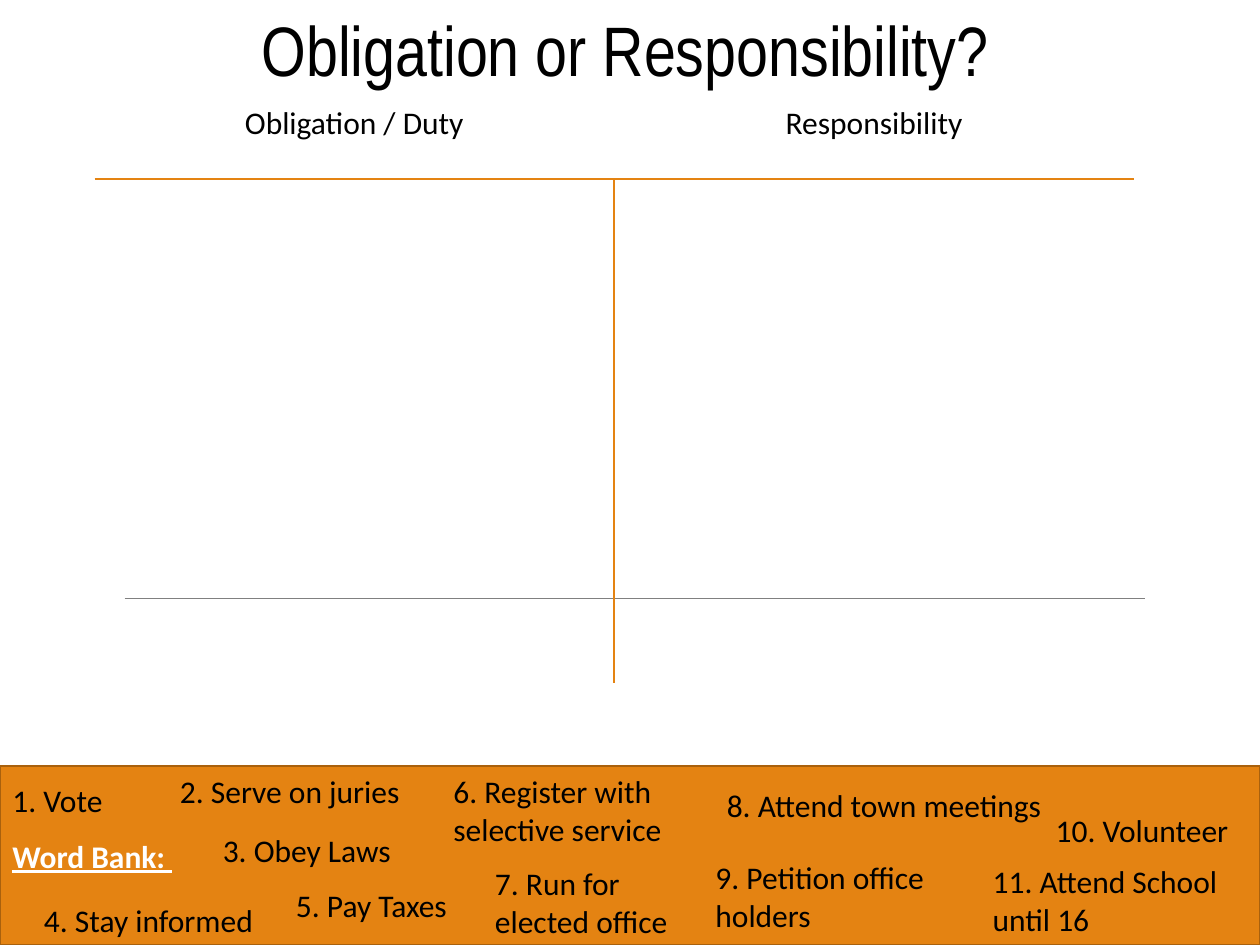
import pptx
import pptx.dml.color
import pptx.enum.shapes
import pptx.enum.text
import pptx.oxml.ns
import pptx.util
from lxml import etree

WIDTH, HEIGHT = 10, 7.5
COLORS = {
    "text": "000000",
    "light": "FFFFFF",
    "accent": "E48312",
    "edge": "A9610D",
    "rule": "808080",
}
CHART_LEFT, CHART_RIGHT, CHART_TOP = 0.75, 9, 1.42
CHART_MIDDLE = (CHART_LEFT + CHART_RIGHT) / 2
BANK_TOP = 6.08
HEADINGS = ["Obligation / Duty", "Responsibility"]
# Left, top, width and the text of each word bank entry
ENTRIES = [
    (1.33, BANK_TOP, 2.17, "2. Serve on juries"),
    (0, 6.15, 1.12, "1. Vote"),
    (1.67, 6.55, 1.67, "3. Obey Laws"),
    (0.25, 7.1, 1.92, "4. Stay informed"),
    (2.25, 6.98, 1.58, "5. Pay Taxes"),
    (3.5, BANK_TOP, 2, "6. Register with\nselective service"),
    (3.83, 6.81, 1.92, "7. Run for elected office"),
    (5.67, 6.19, 3, "8. Attend town meetings"),
    (5.58, 6.76, 2, "9. Petition office holders"),
    (8.28, 6.39, 1.83, "10. Volunteer"),
    (7.78, 6.79, 2.33, "11. Attend School until 16"),
]


def inches(*lengths):
    return [pptx.util.Inches(length) for length in lengths]


def color(name):
    return pptx.dml.color.RGBColor.from_string(COLORS[name])


def write(frame, text, align="LEFT", size=18, face="Calibri", tint="text"):
    """Fill a text frame and format all of its runs alike."""
    frame.text = text
    frame.word_wrap = True
    for para in frame.paragraphs:
        para.alignment = getattr(pptx.enum.text.PP_ALIGN, align)
        for span in para.runs:
            span.font.size = pptx.util.Pt(size)
            span.font.name = face
            span.font.color.rgb = color(tint)


def add_title(page, text):
    title = page.shapes.title
    title.left, title.top, title.width, title.height = inches(0.42, 0, 9.08, 0.77)
    write(title.text_frame, text, "CENTER", 40, "Arial Narrow")
    title.text_frame.auto_size = pptx.enum.text.MSO_AUTO_SIZE.NONE


def add_label(page, left, top, width, text, align="LEFT"):
    box = page.shapes.add_textbox(*inches(left, top, width, 0.4))
    write(box.text_frame, text, align)
    box.text_frame.auto_size = pptx.enum.text.MSO_AUTO_SIZE.SHAPE_TO_FIT_TEXT


def add_line(page, start, end, tint, weight):
    line = page.shapes.add_connector(
        pptx.enum.shapes.MSO_CONNECTOR.STRAIGHT, *inches(*start, *end))
    line.line.color.rgb = color(tint)
    line.line.width = pptx.util.Pt(weight)
    properties = line._element.spPr
    etree.SubElement(properties, pptx.oxml.ns.qn("a:effectLst"))


def add_bank(page, text):
    bank = page.shapes.add_shape(
        pptx.enum.shapes.MSO_SHAPE.RECTANGLE,
        *inches(0, BANK_TOP, WIDTH, HEIGHT - BANK_TOP))
    bank.shadow.inherit = False
    bank.fill.solid()
    bank.fill.fore_color.rgb = color("accent")
    bank.line.color.rgb = color("edge")
    bank.line.width = pptx.util.Pt(1.25)
    write(bank.text_frame, text, tint="light")
    bank.text_frame.vertical_anchor = pptx.enum.text.MSO_ANCHOR.MIDDLE
    font = bank.text_frame.paragraphs[0].runs[0].font
    font.bold = font.underline = True


def main():
    deck = pptx.Presentation()
    deck.slide_width, deck.slide_height = inches(WIDTH, HEIGHT)
    page = deck.slides.add_slide(deck.slide_layouts[5])

    add_line(page, (0.99, 4.75), (9.09, 4.75), "rule", 0.5)
    add_title(page, "Obligation or Responsibility?")
    add_line(page, (CHART_LEFT, CHART_TOP), (CHART_RIGHT, CHART_TOP), "accent", 1.5)
    add_line(page, (CHART_MIDDLE, CHART_TOP), (CHART_MIDDLE, CHART_TOP + 4), "accent", 1)

    column = CHART_MIDDLE - CHART_LEFT
    for index, heading in enumerate(HEADINGS):
        add_label(page, CHART_LEFT + index * column, 0.77, column, heading, "CENTER")

    add_bank(page, "Word Bank: ")
    for left, top, width, text in ENTRIES:
        add_label(page, left, top, width, text)

    deck.save("out.pptx")


if __name__ == "__main__":
    main()
